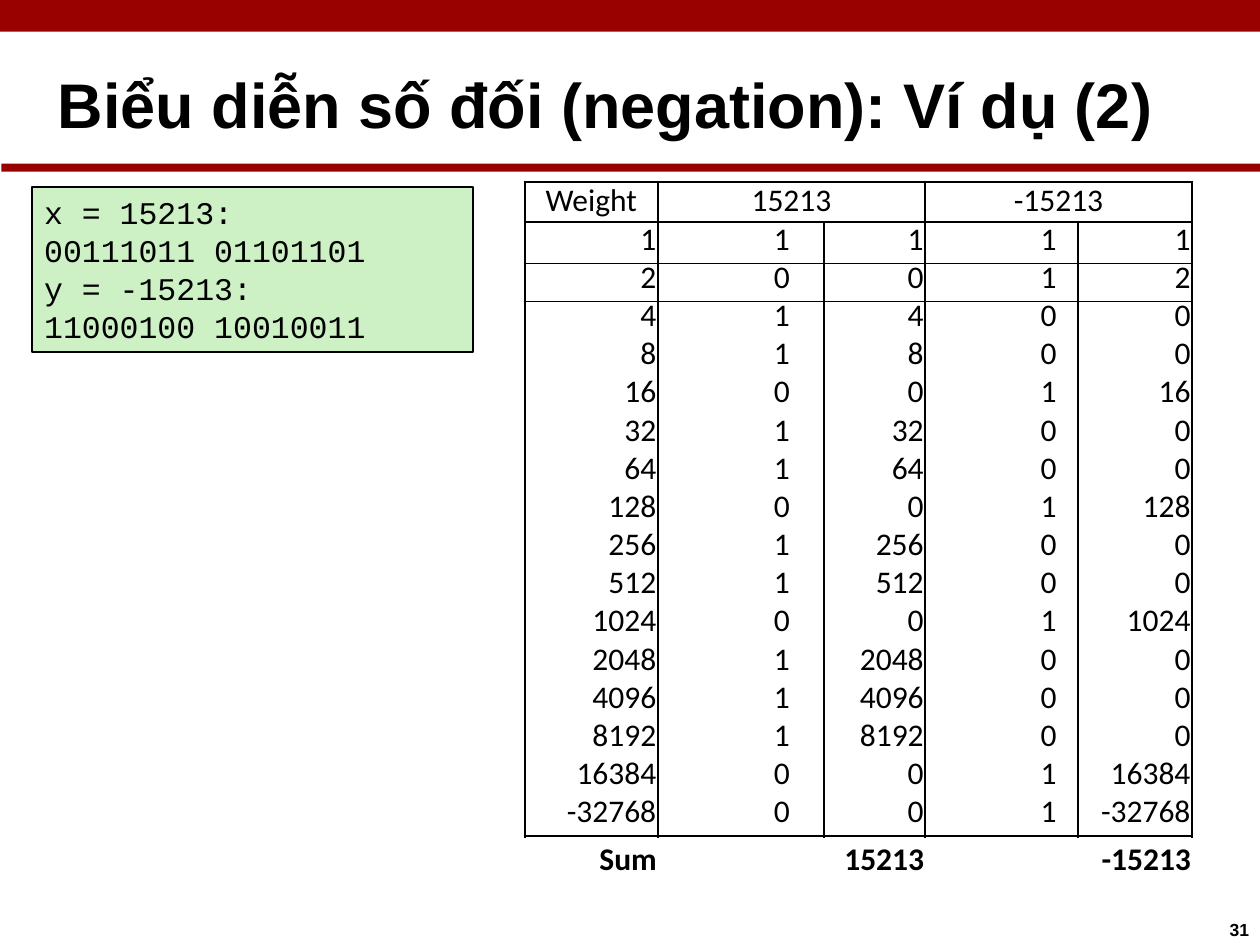
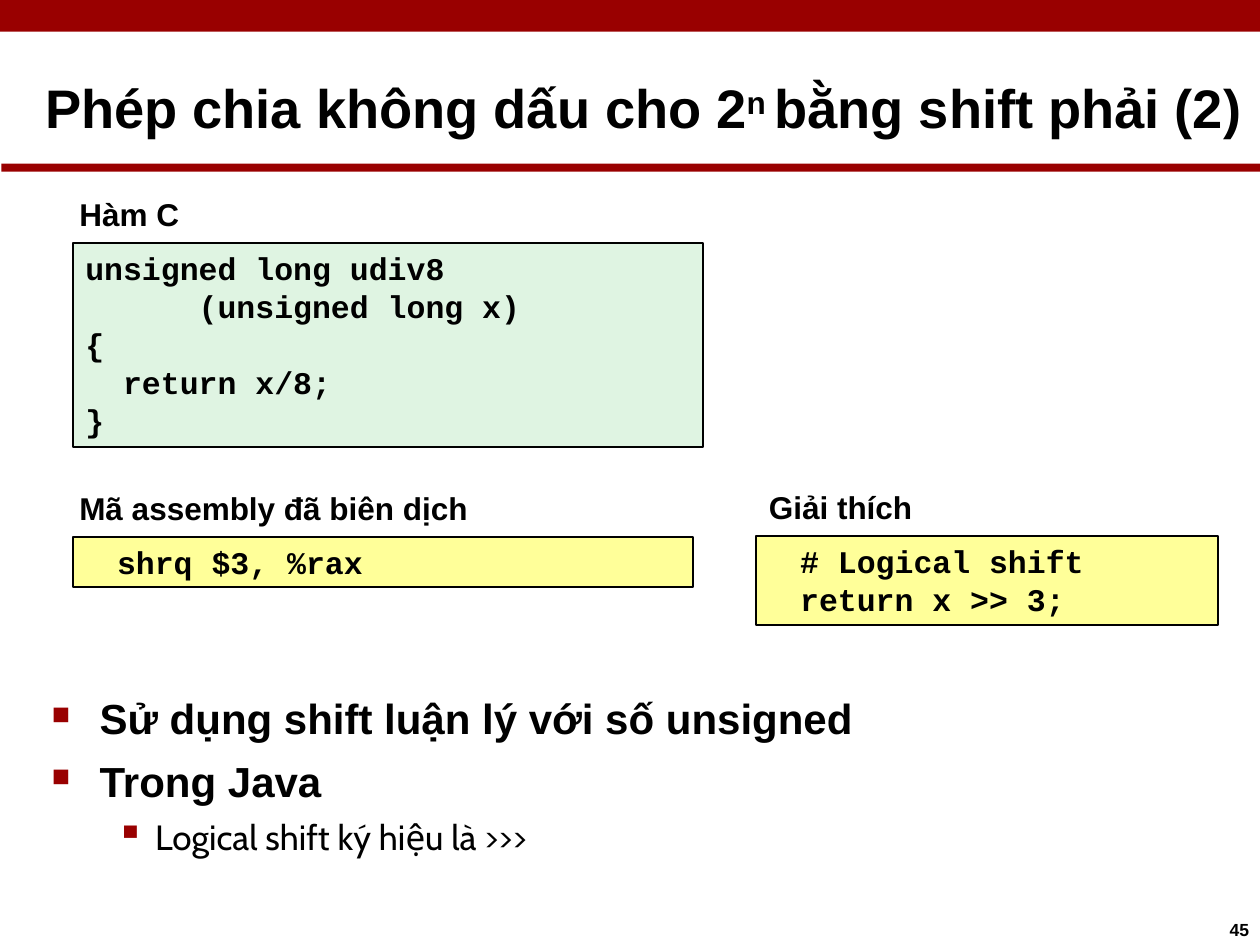
from collections import namedtuple

from lxml.etree import SubElement
from pptx import Presentation
from pptx.dml.color import RGBColor
from pptx.enum.shapes import MSO_SHAPE as Preset
from pptx.enum.text import MSO_ANCHOR as Anchor, PP_ALIGN as Align
from pptx.oxml.ns import qn
from pptx.util import Cm, Pt

Box = namedtuple("Box", "left top width height")

RED = RGBColor(0x99, 0x00, 0x00)
BLACK = RGBColor(0x00, 0x00, 0x00)
GREEN = RGBColor(0xCD, 0xF0, 0xC5)
MINT = RGBColor(0xDF, 0xF4, 0xE2)
YELLOW = RGBColor(0xFF, 0xFF, 0x99)

PAGE_WIDTH, PAGE_HEIGHT = 25.4, 19.05
TOP_BAND = Box(0, 0, PAGE_WIDTH, 0.64)
TITLE_RULE = Box(0.03, 3.3, 25.37, 0.16)
TITLE_BOX = Box(0.48, 1.17, 24.8, 1.65)
NUMBER_BOX = Box(24.69, 18.47, 0.7, 0.48)

LABEL = {"name": "Arial", "size": Pt(18), "bold": True, "color": BLACK}
CODE = {"name": "Courier New", "size": Pt(18), "bold": False, "color": BLACK}
BOLD_CODE = {**CODE, "bold": True}
CELL = {"name": "Calibri", "size": Pt(18), "bold": False, "color": BLACK}
TOTAL = {**CELL, "bold": True}
NUMBER = {**LABEL, "size": Pt(10)}
POINT = {**LABEL, "size": Pt(24)}
SUBPOINT = {"name": "Cabin", "size": Pt(20), "bold": False, "color": BLACK}

NO_STYLE = "{2D5ABB26-0587-4C30-8999-92F81FD0307C}"
BITS = 16


# Shared helpers
def style(font, formats):
    for key, value in formats.items():
        if key == "color":
            font.color.rgb = value
        else:
            setattr(font, key, value)


def place(box):
    return [Cm(length) for length in box]


def set_margins(frame, left=0, top=0, right=0):
    margins = {"left": left, "top": top, "right": right, "bottom": 0}
    for side, length in margins.items():
        setattr(frame, f"margin_{side}", Cm(length))


def write_lines(frame, lines, formats, spacing=None, align=Align.LEFT):
    for index, line in enumerate(lines):
        para = frame.paragraphs[0] if index == 0 else frame.add_paragraph()
        para.alignment = align
        para.line_spacing = spacing
        span = para.add_run()
        span.text = line
        style(span.font, formats)


def add_text(page, box, lines, formats, left=0, top=0.08, align=Align.LEFT):
    frame = page.shapes.add_textbox(*place(box)).text_frame
    frame.word_wrap = True
    set_margins(frame, left, top)
    write_lines(frame, lines, formats, align=align)
    return frame


def add_rect(page, box, fill, outlined=False):
    rect = page.shapes.add_shape(Preset.RECTANGLE, *place(box))
    rect.shadow.inherit = False
    rect.fill.solid()
    rect.fill.fore_color.rgb = fill
    if outlined:
        rect.line.color.rgb = BLACK
        rect.line.width = Pt(1)
    else:
        rect.line.fill.background()
    return rect


def add_code(page, box, fill, lines, formats, left=0.25):
    frame = add_rect(page, box, fill, outlined=True).text_frame
    frame.word_wrap = True
    frame.vertical_anchor = Anchor.TOP
    set_margins(frame, left, 0.13)
    write_lines(frame, lines, formats, spacing=Pt(21.6))


def add_labelled_code(page, box, label, shift, fill, lines, left=0.25):
    """Code box with its label above; shift is the label's indent."""
    label_box = Box(box.left + shift, box.top - 1.04, box.width - shift, 0.84)
    add_text(page, label_box, [label], LABEL, left=0.03)
    add_code(page, box, fill, lines, BOLD_CODE, left)


def start_page(deck, number, title, size, left, top):
    """Page with bands, number and title; title holds (text, baseline)."""
    page = deck.slides.add_slide(deck.slide_layouts[6])
    for band in (TOP_BAND, TITLE_RULE):
        add_rect(page, band, RED)
    add_text(page, NUMBER_BOX, [str(number)], NUMBER, left=0.1, top=0.05)
    frame = add_text(page, TITLE_BOX, [], LABEL, left, top)
    for text, baseline in title:
        span = frame.paragraphs[0].add_run()
        span.text = text
        style(span.font, {**LABEL, "size": Pt(size)})
        if baseline:
            span.font._element.set("baseline", str(baseline))
    return page


# Weight table
def add_borders(cell, widths):
    """widths maps L, R, T, B, in that order, to points."""
    properties = cell._tc.get_or_add_tcPr()
    for side, width in widths.items():
        line = SubElement(properties, qn(f"a:ln{side}"), w=str(Pt(width)))
        fill = SubElement(line, qn("a:solidFill"))
        SubElement(fill, qn("a:srgbClr"), val=str(BLACK))


def weight_rows(values):
    rows = []
    for bit in range(BITS):
        weight = -(2 ** bit) if bit == BITS - 1 else 2 ** bit
        digits = [value >> bit & 1 for value in values]
        pairs = [cell for digit in digits for cell in (digit, digit * weight)]
        rows.append([weight, *pairs])
    return rows


def add_weight_table(page, box, values):
    first, second = values
    rows = [["Weight", first, "", second, ""], *weight_rows(values)]
    widths = [2.68, 3.35, 2.04, 3.08, 2.3]
    heights = [0.81, 0.83] + [0.77] * (BITS - 1)
    right_margins = [0.03, 0.69, 0.03, 0.43, 0.03]
    spacings = [21.6, 21.1] + [19] * (BITS - 1)
    rules = {0: 1.5, 1: 0.75, BITS: 1.5}

    shape = page.shapes.add_table(len(rows), len(widths), *place(box))
    table = shape.table
    table.first_row = table.horz_banding = False
    table._tbl.tblPr.find(qn("a:tableStyleId")).text = NO_STYLE
    for column, width in zip(table.columns, widths):
        column.width = Cm(width)
    for start in (1, 3):
        table.cell(0, start).merge(table.cell(0, start + 1))

    for r, row in enumerate(rows):
        table.rows[r].height = Cm(heights[r])
        for c, value in enumerate(row):
            cell = table.cell(r, c)
            if cell.is_spanned:
                continue
            borders = {"L": 1.5, "R": 1.5}
            if r == 0:
                borders["T"] = 1.5
            elif r - 1 in rules:
                borders["T"] = rules[r - 1]
            if r in rules:
                borders["B"] = rules[r]
            add_borders(cell, borders)
            cell.fill.background()
            set_margins(cell, right=right_margins[c] if r else 0)
            align = Align.RIGHT if r else Align.CENTER
            write_lines(cell.text_frame, [str(value)], CELL,
                        Pt(spacings[r]), align)

    # Totals under the columns they sum
    top = box.top + sum(heights) + 0.02
    for c, total in ((0, "Sum"), (2, first), (4, second)):
        right = box.left + sum(widths[:c + 1])
        total_box = Box(right - 2, top, 1.98, 0.84)
        add_text(page, total_box, [str(total)], TOTAL, top=0.04,
                 align=Align.RIGHT)


# Bulleted conclusions
def add_bullet(para, char, percent, indent, hanging):
    properties = para._p.get_or_add_pPr()
    properties.set("marL", str(Cm(indent)))
    properties.set("indent", str(-Cm(hanging)))
    color = SubElement(properties, qn("a:buClr"))
    SubElement(color, qn("a:srgbClr"), val=str(RED))
    SubElement(properties, qn("a:buSzPct"), val=str(percent * 1000))
    SubElement(properties, qn("a:buChar"), char=char)


def add_conclusions(page, box):
    frame = add_text(page, box, [], POINT, top=0.33)
    main = ("■", 60, 0.99, 0.97)
    items = [
        ("Sử dụng shift luận lý với số unsigned", POINT, main, 0),
        ("Trong Java", POINT, main, 7),
        ("Logical shift ký hiệu là >>>", SUBPOINT, ("▪", 110, 2.11, 0.79), 5.5),
    ]
    for index, (text, formats, bullet, before) in enumerate(items):
        para = frame.paragraphs[0] if index == 0 else frame.add_paragraph()
        add_bullet(para, *bullet)
        if before:
            para.space_before = Pt(before)
        span = para.add_run()
        span.text = text
        style(span.font, formats)


# Slides
def negation_slide(deck):
    title = [("Biểu diễn số đối (negation): Ví dụ (2)", 0)]
    page = start_page(deck, 31, title, 36, 0.69, 0.15)
    lines = ["x = 15213:", "00111011 01101101",
             "y = -15213:", "11000100 10010011"]
    add_code(page, Box(0.64, 3.77, 8.89, 3.33), GREEN, lines, CODE)
    add_weight_table(page, Box(10.58, 3.67, 13.45, 13.19), (15213, -15213))


def division_slide(deck):
    title = [("Phép chia không dấu cho 2", 0), ("n ", 26000),
             ("bằng shift phải (2)", 0)]
    page = start_page(deck, 45, title, 31, 0.43, 0.33)
    function = ["unsigned long udiv8", "      (unsigned long x)",
                "{", "  return x/8;", "}"]
    add_labelled_code(page, Box(1.47, 4.9, 12.7, 4.11), "Hàm C", 0.1,
                      MINT, function)
    add_labelled_code(page, Box(1.47, 10.82, 12.5, 1.02),
                      "Mã assembly đã biên dịch", 0.1,
                      YELLOW, ["shrq $3, %rax"], left=0.89)
    add_labelled_code(page, Box(15.24, 10.8, 9.32, 1.8), "Giải thích", 0.23,
                      YELLOW, ["# Logical shift", "return x >> 3;"], left=0.89)
    add_conclusions(page, Box(1.02, 13.64, 17, 3.53))


def main():
    deck = Presentation()
    deck.slide_width, deck.slide_height = Cm(PAGE_WIDTH), Cm(PAGE_HEIGHT)
    negation_slide(deck)
    division_slide(deck)
    deck.save("out.pptx")


if __name__ == "__main__":
    main()
